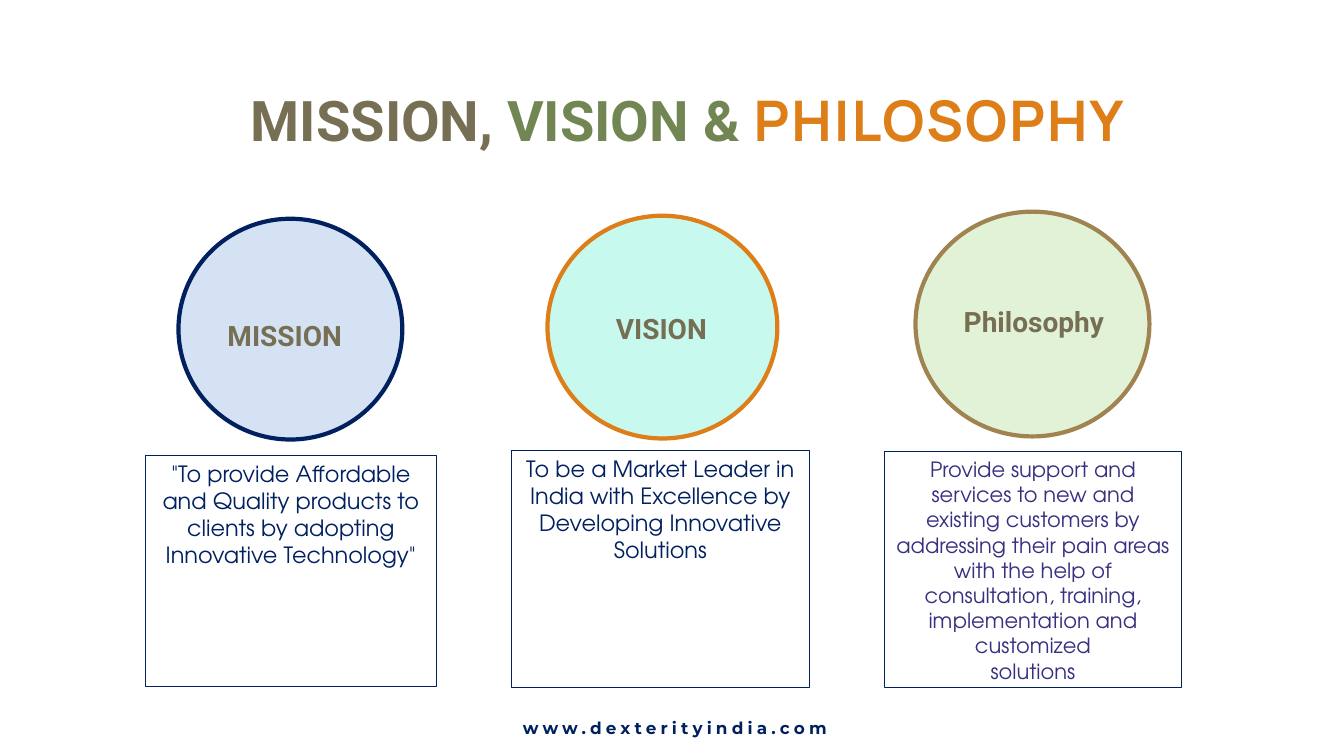
"""Build the mission, vision and philosophy slide."""
from dataclasses import dataclass

from pptx import Presentation
from pptx.dml.color import RGBColor
from pptx.enum.shapes import MSO_SHAPE
from pptx.enum.text import MSO_ANCHOR, MSO_AUTO_SIZE, PP_ALIGN
from pptx.util import Inches, Pt

OVAL, RECTANGLE = MSO_SHAPE.OVAL, MSO_SHAPE.RECTANGLE
TOP, MIDDLE = MSO_ANCHOR.TOP, MSO_ANCHOR.MIDDLE
CENTER = PP_ALIGN.CENTER
NO_FIT, GROW = MSO_AUTO_SIZE.NONE, MSO_AUTO_SIZE.SHAPE_TO_FIT_TEXT


@dataclass(frozen=True)
class Theme:
    white: str = "FFFFFF"
    navy: str = "002060"
    olive: str = "766F54"
    green: str = "728653"
    orange: str = "DE7E18"
    bronze: str = "9F8351"
    violet: str = "363080"
    pale_blue: str = "D5E2F3"
    pale_aqua: str = "C7F9EE"
    pale_green: str = "E2F2D7"
    heading_font: str = "Roboto"
    accent_font: str = "Manrope"
    body_font: str = "TeX Gyre Adventor"
    footer_font: str = "Montserrat"
    title_size: int = 40
    label_size: int = 20
    body_size: int = 16
    small_body_size: int = 15
    footer_size: int = 12


def style_font(font, name, size, color, bold=False):
    font.name, font.size, font.bold = name, Pt(size), bold
    font.color.rgb = RGBColor.from_string(color)


def write_text(box, lines, font_style, anchor=TOP, margins=(0.1, 0.05), spacing=1):
    frame = box.text_frame
    frame.word_wrap = True
    frame.auto_size = NO_FIT
    frame.vertical_anchor = anchor
    frame.margin_left = frame.margin_right = Inches(margins[0])
    frame.margin_top = frame.margin_bottom = Inches(margins[1])
    frame.text = "\n".join(lines)
    for para in frame.paragraphs:
        para.alignment = CENTER
        para.line_spacing = spacing
        style_font(para.font, *font_style)


theme = Theme()
deck = Presentation()
deck.slide_width, deck.slide_height = Inches(13.33), Inches(7.5)
page = deck.slides.add_slide(deck.slide_layouts[5])

title = page.shapes.title
title.left, title.top, title.width, title.height = map(Inches, (1.78, 0.8, 10.08, 0.77))
title.fill.solid()
title.fill.fore_color.rgb = RGBColor.from_string(theme.white)
write_text(title, [""], (theme.heading_font, theme.title_size, theme.olive, True))
for words, font_name, color in [
    ("MISSION, ", theme.heading_font, theme.olive),
    ("VISION & ", theme.heading_font, theme.green),
    ("PHILOSOPHY", theme.accent_font, theme.orange),
]:
    span = title.text_frame.paragraphs[0].add_run()
    span.text = words
    style_font(span.font, font_name, theme.title_size, color, True)
span._r.get_or_add_rPr().set("spc", "150")

columns = [
    ("MISSION", (1.77, 2.17, 2.22, 2.19), (2, 3.07, 1.65, 0.47), (1.44, 4.52, 2.89, 2.29),
     theme.pale_blue, theme.navy, theme.body_size, theme.navy,
     ['"To provide Affordable and Quality products to clients by adopting '
      'Innovative Technology"']),
    ("VISION", (5.43, 2.14, 2.28, 2.21), (5.86, 3, 1.4, 0.47), (5.07, 4.47, 2.96, 2.35),
     theme.pale_aqua, theme.orange, theme.body_size, theme.navy,
     ["To be a Market Leader in India with Excellence by Developing Innovative Solutions"]),
    ("Philosophy", (9.08, 2.1, 2.32, 2.23), (9.19, 2.92, 2.13, 0.48), (8.77, 4.48, 2.95, 2.34),
     theme.pale_green, theme.bronze, theme.small_body_size, theme.violet,
     ["Provide support and services to new and existing customers by addressing "
      "their pain areas with the help of consultation, training, implementation "
      "and customized", "solutions"]),
]
for (heading, circle_area, label_area, card_area,
     fill_color, ring_color, text_size, text_color, lines) in columns:
    group = page.shapes.add_group_shape()

    circle = group.shapes.add_shape(OVAL, *map(Inches, circle_area))
    circle.shadow.inherit = False
    circle.fill.solid()
    circle.fill.fore_color.rgb = RGBColor.from_string(fill_color)
    circle.line.color.rgb = RGBColor.from_string(ring_color)
    circle.line.width = Pt(3)

    label = group.shapes.add_textbox(*map(Inches, label_area))
    write_text(label, [heading], (theme.heading_font, theme.label_size, theme.olive, True),
               anchor=MIDDLE, spacing=1.15)

    card = group.shapes.add_shape(RECTANGLE, *map(Inches, card_area))
    card.shadow.inherit = False
    card.fill.background()
    card.line.color.rgb = RGBColor.from_string(theme.navy)
    card.line.width = Pt(0.75)
    write_text(card, lines, (theme.body_font, text_size, text_color))

footer = page.shapes.add_textbox(*map(Inches, (4.29, 7.09, 4.81, 0.25)))
write_text(footer, ["www.dexterityindia.com"],
           (theme.footer_font, theme.footer_size, theme.navy, True), margins=(0.05, 0.03))
footer.text_frame.auto_size = GROW
footer.text_frame.paragraphs[0].runs[0]._r.get_or_add_rPr().set("spc", "300")

deck.save("out.pptx")
